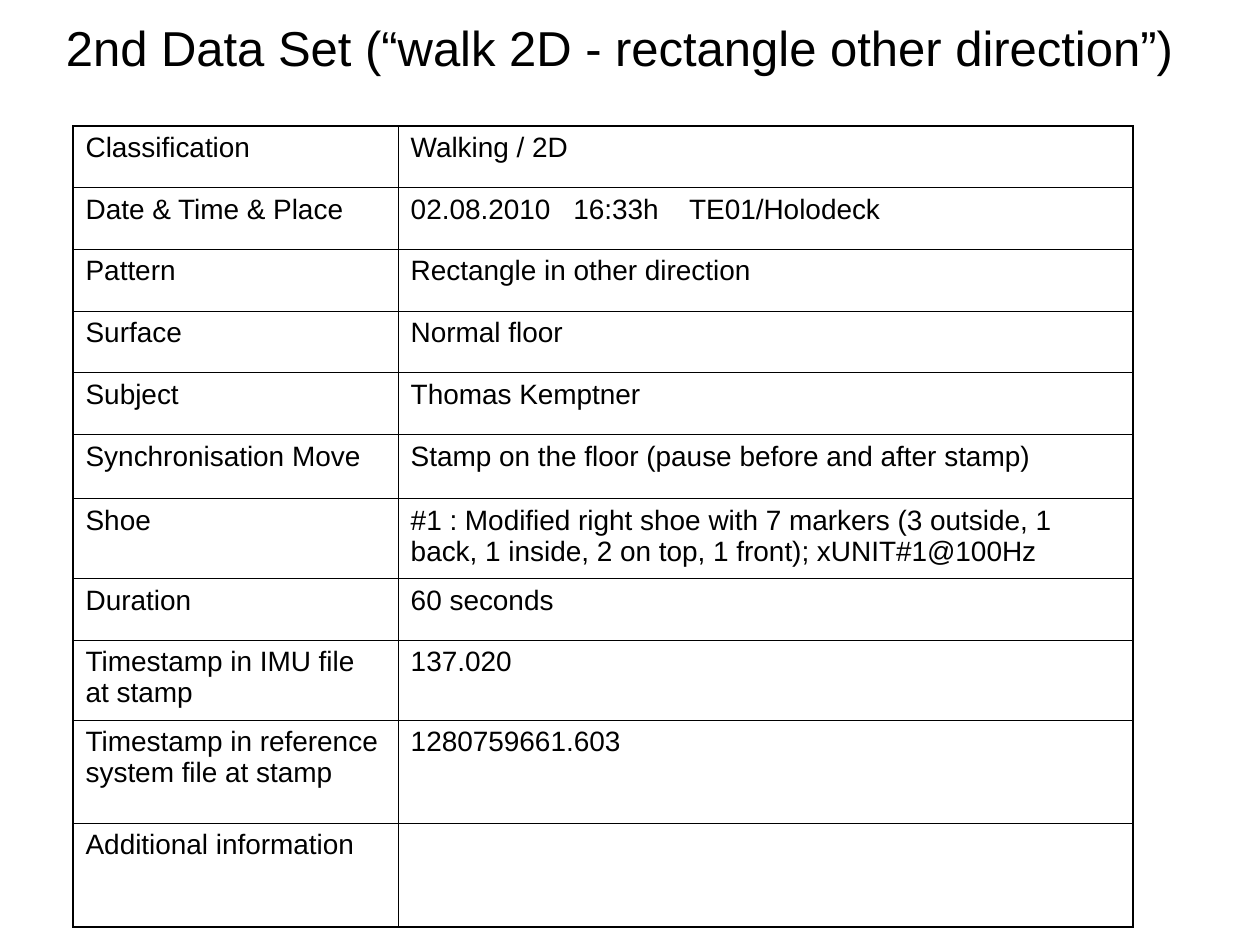
from lxml import etree
from pptx import Presentation
from pptx.dml.color import RGBColor
from pptx.enum.text import MSO_ANCHOR, PP_ALIGN
from pptx.oxml.ns import qn
from pptx.util import Inches, Pt

CENTER, MIDDLE, TOP = PP_ALIGN.CENTER, MSO_ANCHOR.MIDDLE, MSO_ANCHOR.TOP

# Content: label, value, row height in inches
TITLE = "2nd Data Set (“walk 2D - rectangle other direction”)"
ONE_LINE, TWO_LINES, TALL = 0.49, 0.63, 0.82
RECORD = [
    ("Classification", "Walking / 2D", ONE_LINE),
    ("Date & Time & Place", "02.08.2010\t16:33h\tTE01/Holodeck", ONE_LINE),
    ("Pattern", "Rectangle in other direction", ONE_LINE),
    ("Surface", "Normal floor", ONE_LINE),
    ("Subject", "Thomas Kemptner", ONE_LINE),
    ("Synchronisation Move", "Stamp on the floor (pause before and after stamp)", 0.51),
    ("Shoe", "#1 : Modified right shoe with 7 markers (3 outside, 1 back, "
             "1 inside, 2 on top, 1 front); xUNIT#1@100Hz", TWO_LINES),
    ("Duration", "60 seconds", ONE_LINE),
    ("Timestamp in IMU file at stamp", "137.020", TWO_LINES),
    ("Timestamp in reference system file at stamp", "1280759661.603", TALL),
    ("Additional information", "", TALL),
]

# Format
COLORS = {"ink": "000000"}
TITLE_FONT = {"name": "Arial", "size": Pt(28)}
CELL_FONT = {"name": "Arial", "size": Pt(16)}
COLUMNS = (2.58, 5.83)
VALUE_TABS = (1.29, 2.21)
OUTER, INNER = Pt(1.08), Pt(0.45)


def set_font(font, values):
    for name, value in values.items():
        setattr(font, name, value)
    font.color.rgb = RGBColor.from_string(COLORS["ink"])


def add_tabs(paragraph, stops):
    tabs = etree.SubElement(paragraph._p.get_or_add_pPr(), qn("a:tabLst"))
    for stop in stops:
        etree.SubElement(tabs, qn("a:tab"), pos=str(Inches(stop)), algn="l")


def add_borders(cell, widths):
    properties = cell._tc.get_or_add_tcPr()
    for side, width in widths.items():
        line = etree.SubElement(properties, qn(f"a:ln{side}"), w=str(width))
        fill = etree.SubElement(line, qn("a:solidFill"))
        etree.SubElement(fill, qn("a:srgbClr"), val=COLORS["ink"])


prs = Presentation()
prs.slide_width, prs.slide_height = Inches(10), Inches(7.5)
slide = prs.slides.add_slide(prs.slide_layouts[6])

# Title
heading = slide.shapes.add_textbox(Inches(0.25), 0, Inches(9.33), Inches(0.75)).text_frame
heading.word_wrap = True
heading.vertical_anchor = MIDDLE
heading.text = TITLE
heading.paragraphs[0].alignment = CENTER
set_font(heading.paragraphs[0].font, TITLE_FONT)

# Record table
heights = [height for _, _, height in RECORD]
table = slide.shapes.add_table(
    len(RECORD), len(COLUMNS), Inches(0.58), Inches(1),
    Inches(sum(COLUMNS)), Inches(sum(heights))).table
table.first_row = table.horz_banding = False
for column, width in zip(table.columns, COLUMNS):
    column.width = Inches(width)

last = len(RECORD) - 1
for r, (label, value, height) in enumerate(RECORD):
    table.rows[r].height = Inches(height)
    for c, text in enumerate((label, value)):
        cell = table.cell(r, c)
        cell.text = text
        cell.vertical_anchor = TOP
        paragraph = cell.text_frame.paragraphs[0]
        if "\t" in text:
            add_tabs(paragraph, VALUE_TABS)
        set_font(paragraph.font, CELL_FONT)
        # Heavy frame, plus a heavy rule above the last row
        add_borders(cell, {
            "L": OUTER if c == 0 else INNER,
            "R": OUTER if c == 1 else INNER,
            "T": OUTER if r in (0, last) else INNER,
            "B": OUTER if r >= last - 1 else INNER,
        })
        cell.fill.background()

prs.save("out.pptx")
